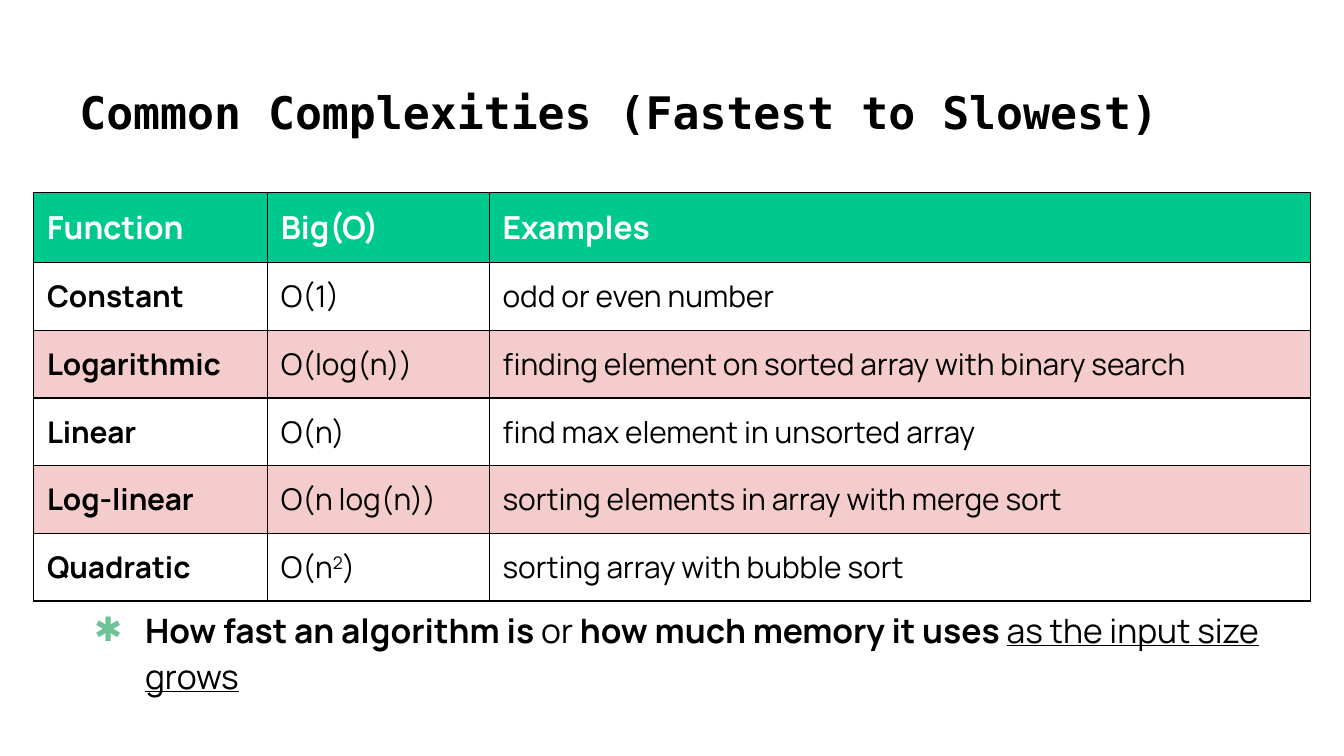
from lxml.etree import SubElement
from pptx import Presentation
from pptx.dml.color import RGBColor
from pptx.enum.text import MSO_ANCHOR, PP_ALIGN
from pptx.oxml.ns import qn
from pptx.util import Inches, Pt

# Content
TITLE = "Common Complexities (Fastest to Slowest)"
HEADER = ("Function", "Big(O)", "Examples")
COMPLEXITIES = [
    ("Constant", "O(1)", "odd or even number"),
    ("Logarithmic", "O(log(n))", "finding element on sorted array with binary search"),
    ("Linear", "O(n)", "find max element in unsorted array"),
    ("Log-linear", "O(n log(n))", "sorting elements in array with merge sort"),
    ("Quadratic", "O(n^2)", "sorting array with bubble sort"),
]
# Text, bold, underlined
SUMMARY = [
    ("How fast an algorithm is", True, False),
    (" or ", False, False),
    ("how much memory it uses ", True, False),
    ("as the input size grows", False, True),
]

# Style
TITLE_FONT, TEXT_FONT = "DejaVu Sans Mono", "Manrope"
BLACK, WHITE, GREEN, PINK, MINT = "000000", "FFFFFF", "00C98E", "F4CCCC", "6EC396"
COLUMN_WIDTHS = (1.74, 1.65, 6.11)
HEADER_HEIGHT, ROW_HEIGHT = 0.52, 0.5
MARGIN = Inches(0.1)


def style_font(font, name, size, color, bold):
    font.name, font.size, font.bold = name, Pt(size), bold
    font.color.rgb = RGBColor.from_string(color)


def place(shape, left, top, width, height):
    shape.left, shape.top = Inches(left), Inches(top)
    shape.width, shape.height = Inches(width), Inches(height)
    frame = shape.text_frame
    frame.word_wrap, frame.vertical_anchor = True, MSO_ANCHOR.TOP
    frame.margin_left = frame.margin_right = MARGIN
    frame.margin_top = frame.margin_bottom = MARGIN
    return frame


def add_borders(cell, color, points):
    properties = cell._tc.get_or_add_tcPr()
    for side in ("a:lnL", "a:lnR", "a:lnT", "a:lnB"):
        line = SubElement(properties, qn(side), w=str(Pt(points)))
        SubElement(SubElement(line, qn("a:solidFill")), qn("a:srgbClr"), val=color)


def fill_cell(cell, text, size, color, bold, background):
    cell.margin_left = cell.margin_right = MARGIN
    cell.margin_top = cell.margin_bottom = MARGIN
    add_borders(cell, BLACK, 0.75)
    cell.fill.solid()
    cell.fill.fore_color.rgb = RGBColor.from_string(background)
    # A caret marks the next character as superscript
    base, _, raised = text.partition("^")
    paragraph = cell.text_frame.paragraphs[0]
    for part, baseline in ((base, 0), (raised[:1], 30000), (raised[1:], 0)):
        if part:
            run = paragraph.add_run()
            run.text = part
            style_font(run.font, TEXT_FONT, size, color, bold)
            if baseline:
                run._r.get_or_add_rPr().set("baseline", str(baseline))


# Widescreen slide, 16 to 9
presentation = Presentation()
presentation.slide_width = Inches(10)
presentation.slide_height = Inches(10) * 9 // 16
slide = presentation.slides.add_slide(presentation.slide_layouts[1])
title, body = slide.placeholders

# Title
frame = place(title, 0.49, 0.53, 9.01, 0.63)
frame.text = TITLE
frame.paragraphs[0].alignment = PP_ALIGN.LEFT
style_font(frame.paragraphs[0].runs[0].font, TITLE_FONT, 24, BLACK, True)

# Complexity table
rows = [HEADER, *COMPLEXITIES]
table = slide.shapes.add_table(
    len(rows), len(HEADER), Inches(0.25), Inches(1.43), Inches(sum(COLUMN_WIDTHS)),
    Inches(HEADER_HEIGHT + ROW_HEIGHT * len(COMPLEXITIES))).table
for column, width in zip(table.columns, COLUMN_WIDTHS):
    column.width = Inches(width)
for r, row in enumerate(rows):
    is_header = r == 0
    table.rows[r].height = Inches(HEADER_HEIGHT if is_header else ROW_HEIGHT)
    background = GREEN if is_header else WHITE if r % 2 else PINK
    size, color = (17, WHITE) if is_header else (16, BLACK)
    for c, text in enumerate(row):
        fill_cell(table.cell(r, c), text, size, color, is_header or c == 0, background)

# Summary bullet
paragraph = place(body, 0.48, 4.39, 9.32, 1).paragraphs[0]
properties = paragraph._p.get_or_add_pPr()
properties.set("marL", str(Inches(0.5)))
properties.set("indent", str(Inches(-0.38)))
SubElement(SubElement(properties, qn("a:buClr")), qn("a:srgbClr"), val=MINT)
SubElement(properties, qn("a:buChar"), char="✱")
paragraph.line_spacing = 1.15
paragraph.space_before, paragraph.space_after = Pt(0), Pt(10)
for text, bold, underlined in SUMMARY:
    run = paragraph.add_run()
    run.text = text
    style_font(run.font, TEXT_FONT, 18, BLACK, bold)
    run.font.underline = underlined

presentation.save("out.pptx")
